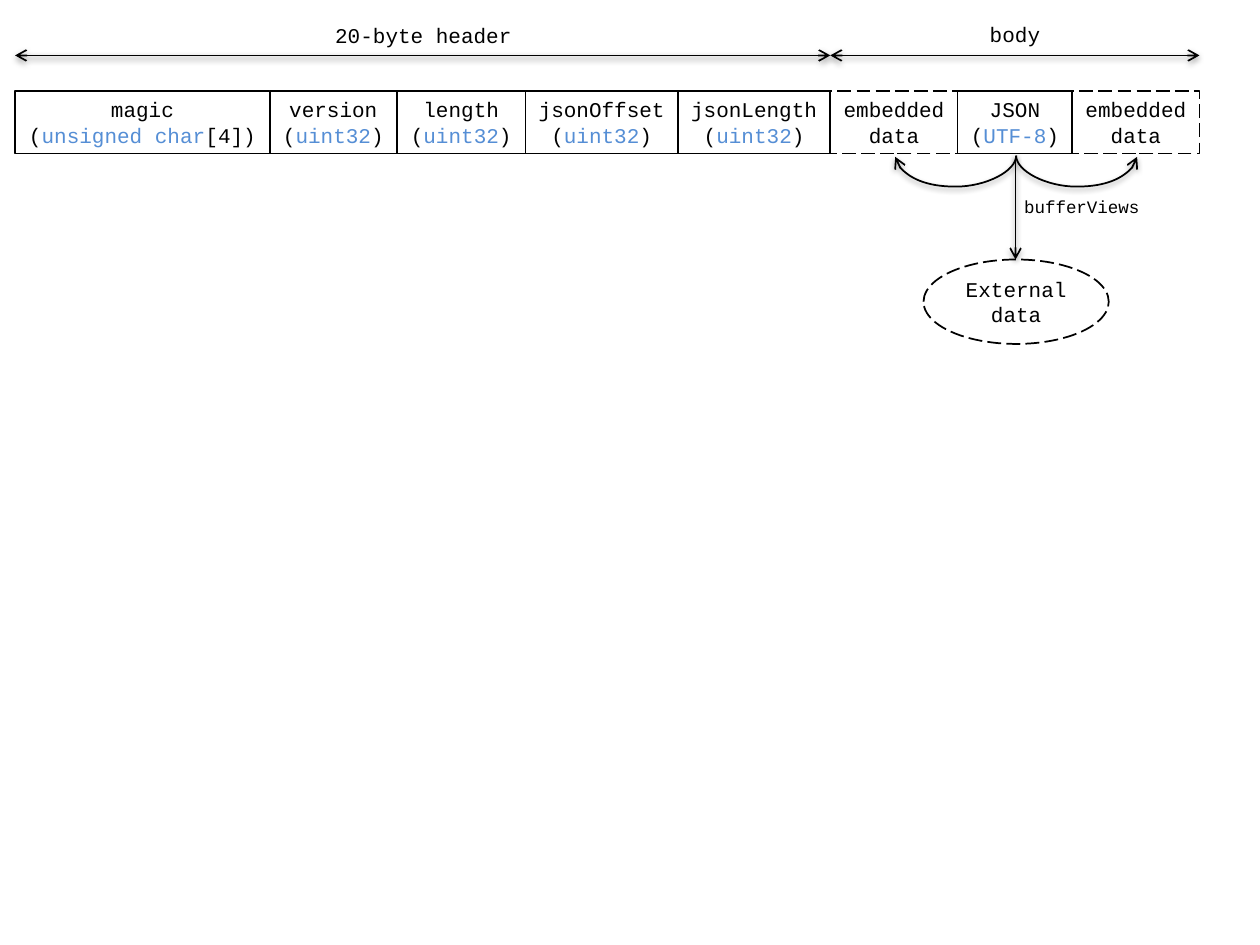
from dataclasses import dataclass
from itertools import accumulate

from lxml.etree import SubElement
from pptx import Presentation
from pptx.dml.color import RGBColor
from pptx.enum.dml import MSO_LINE
from pptx.enum.shapes import MSO_CONNECTOR, MSO_SHAPE
from pptx.enum.text import MSO_ANCHOR, PP_ALIGN
from pptx.oxml.ns import qn
from pptx.util import Inches, Pt


@dataclass(frozen=True)
class Theme:
    """Colours, font and sizes of the slide."""
    ink: RGBColor = RGBColor(0, 0, 0)
    blue: RGBColor = RGBColor(0x55, 0x8E, 0xD5)
    paper: RGBColor = RGBColor(255, 255, 255)
    font: str = "Courier New"
    body: int = 12
    small: int = 10
    line: int = 1


THEME = Theme()
LEFT, TOP, HIGH = 0.12, 0.72, 0.5
RULER = 0.44
DATA = [["embedded"], ["data"]]


def typed(name, kind, tail=")"):
    """Return the two text lines of a typed field."""
    return [[name], ["(", kind, tail]]


# Width in inches, text lines, dashed outline
FIELDS = [
    (2.02, typed("magic", "unsigned char", "[4])"), False),
    (1.01, typed("version", "uint32"), False),
    (1.02, typed("length", "uint32"), False),
    (1.21, typed("jsonOffset", "uint32"), False),
    (1.21, typed("jsonLength", "uint32"), False),
    (1.01, DATA, True),
    (0.91, typed("JSON", "UTF-8"), False),
    (1.01, DATA, True),
]


def write(shape, lines, size=THEME.body, wrap=False, anchor=MSO_ANCHOR.TOP):
    """Set centred lines; the second piece of a line is blue."""
    frame = shape.text_frame
    frame.word_wrap = wrap
    frame.vertical_anchor = anchor
    for row, pieces in enumerate(lines):
        para = frame.add_paragraph() if row else frame.paragraphs[0]
        para.alignment = PP_ALIGN.CENTER
        for place, piece in enumerate(pieces):
            run = para.add_run()
            run.text = piece
            run.font.name = THEME.font
            run.font.size = Pt(size)
            run.font.color.rgb = THEME.blue if place == 1 else THEME.ink


def stroke(line, dashed=False):
    """Format an outline or a line."""
    line.color.rgb = THEME.ink
    line.width = Pt(THEME.line)
    if dashed:
        line.dash_style = MSO_LINE.LONG_DASH


def box(slide, kind, area, dashed):
    """Add an outlined, unfilled shape."""
    shape = slide.shapes.add_shape(kind, *map(Inches, area))
    shape.shadow.inherit = False
    shape.fill.background()
    stroke(shape.line, dashed)
    return shape


def label(slide, area, text, size=THEME.body):
    """Add a one-line caption."""
    write(slide.shapes.add_textbox(*map(Inches, area)), [[text]], size)


def shade(props):
    """Give a connector a soft shadow below it."""
    glow = SubElement(SubElement(props, qn("a:effectLst")), qn("a:outerShdw"),
                      blurRad="40000", dist="20000", dir="5400000",
                      rotWithShape="0")
    tint = SubElement(glow, qn("a:srgbClr"), val=str(THEME.ink))
    SubElement(tint, qn("a:alpha"), val="38000")


def arrow(slide, ends, both=False, kind=MSO_CONNECTOR.STRAIGHT):
    """Add an arrow with a head at its end, or at both ends."""
    link = slide.shapes.add_connector(kind, *map(Inches, ends))
    stroke(link.line)
    for tip in ["headEnd", "tailEnd"] if both else ["tailEnd"]:
        SubElement(link.line._get_or_add_ln(), qn("a:" + tip), type="arrow")
    shade(link._element.spPr)
    return link


def bow(slide, ends, turn):
    """Add a curved arrow, turned by degrees, that sags below its ends."""
    props = arrow(slide, ends, kind=MSO_CONNECTOR.CURVE)._element.spPr
    props.find(qn("a:xfrm")).set("rot", str(turn * 60000))
    geom = props.find(qn("a:prstGeom"))
    rules = geom.find(qn("a:avLst"))
    if rules is None:
        rules = SubElement(geom, qn("a:avLst"))
    SubElement(rules, qn("a:gd"), name="adj1", fmla="val 2500000")


def main():
    """Build the file layout diagram."""
    deck = Presentation()
    deck.slide_width, deck.slide_height = Inches(10), Inches(7.5)
    slide = deck.slides.add_slide(deck.slide_layouts[6])

    edges = list(accumulate((field[0] for field in FIELDS), initial=LEFT))
    for left, (wide, lines, dashed) in zip(edges, FIELDS):
        area = (left, TOP, wide, HIGH)
        write(box(slide, MSO_SHAPE.RECTANGLE, area, dashed), lines)

    store = box(slide, MSO_SHAPE.OVAL, (7.33, 2.06, 1.47, 0.67), True)
    store.fill.solid()
    store.fill.fore_color.rgb = THEME.paper
    write(store, [["External data"]], wrap=True, anchor=MSO_ANCHOR.MIDDLE)

    split = edges[5]
    for start, end in [(LEFT, split), (split, edges[-1])]:
        arrow(slide, (start, RULER, end, RULER), both=True)
    label(slide, (2.55, 0.13, 1.62, 0.3), "20-byte header")
    label(slide, (7.75, 0.12, 0.61, 0.3), "body")

    bow(slide, (8.55, 0.76, 8.54, 1.72), 270)
    bow(slide, (7.58, 0.76, 7.59, 1.72), 90)
    arrow(slide, (8.06, 1.24, 8.06, 2.06))
    label(slide, (8.02, 1.51, 1.13, 0.27), "bufferViews", THEME.small)

    deck.save("out.pptx")


main()
